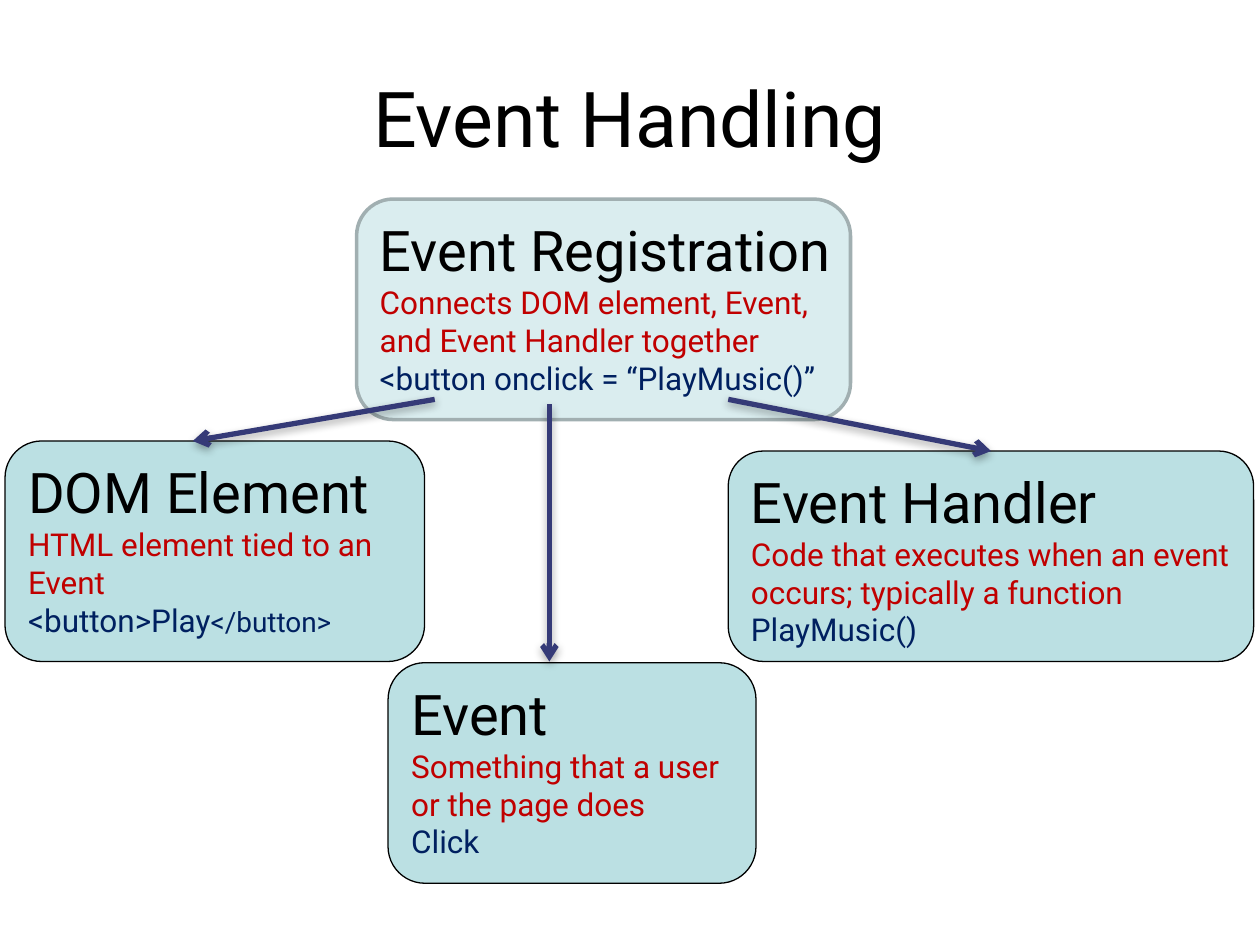
from lxml import etree
from pptx import Presentation
from pptx.dml.color import RGBColor
from pptx.enum.shapes import MSO_CONNECTOR, MSO_SHAPE
from pptx.enum.text import MSO_ANCHOR, PP_ALIGN
from pptx.oxml.ns import qn
from pptx.util import Inches, Pt

STRAIGHT = MSO_CONNECTOR.STRAIGHT
ROUNDED_RECTANGLE = MSO_SHAPE.ROUNDED_RECTANGLE
MIDDLE = MSO_ANCHOR.MIDDLE
TOP = MSO_ANCHOR.TOP
LEFT = PP_ALIGN.LEFT
CENTER = PP_ALIGN.CENTER

FONT = "Roboto"
BLACK = RGBColor(0x00, 0x00, 0x00)
RED = RGBColor(0xC0, 0x00, 0x00)
NAVY = RGBColor(0x00, 0x20, 0x60)
TEAL = RGBColor(0xBB, 0xE0, 0xE3)
PALE_TEAL = RGBColor(0xDA, 0xED, 0xEF)
GRAY = RGBColor(0xA1, 0xAF, 0xB1)
INDIGO = RGBColor(0x35, 0x3A, 0x77)

TOP_SIDE = 0


def format_run(run, size, color):
    run.font.name = FONT
    run.font.size = Pt(size)
    run.font.color.rgb = color


def add_title(slide, box, text):
    shape = slide.shapes.add_textbox(*map(Inches, box))
    text_frame = shape.text_frame
    text_frame.word_wrap = True
    text_frame.vertical_anchor = MIDDLE
    text_frame.text = text
    paragraph = text_frame.paragraphs[0]
    paragraph.alignment = CENTER
    format_run(paragraph.runs[0], 44, BLACK)


def add_concept(slide, box, heading, description, example,
                fill=TEAL, line=BLACK, line_width=0.75):
    shape = slide.shapes.add_shape(ROUNDED_RECTANGLE, *map(Inches, box))
    shape.shadow.inherit = False
    shape.fill.solid()
    shape.fill.fore_color.rgb = fill
    shape.line.color.rgb = line
    shape.line.width = Pt(line_width)

    text_frame = shape.text_frame
    text_frame.word_wrap = False
    text_frame.vertical_anchor = TOP
    text_frame.text = "\n".join([heading, *description, example])
    sizes = [32] + [18] * (len(description) + 1)
    colors = [BLACK] + [RED] * len(description) + [NAVY]
    for paragraph, size, color in zip(text_frame.paragraphs, sizes, colors):
        paragraph.alignment = LEFT
        format_run(paragraph.runs[0], size, color)
    return shape


def add_shadow(connector):
    effects = etree.SubElement(connector._element.spPr, qn("a:effectLst"))
    shadow = etree.SubElement(
        effects, qn("a:outerShdw"), blurRad=str(Pt(5)), dist=str(Pt(1.8)),
        dir="5400000", rotWithShape="0")
    color = etree.SubElement(shadow, qn("a:srgbClr"), val="000000")
    etree.SubElement(color, qn("a:alpha"), val="35000")


def add_arrow(slide, start, end):
    connector = slide.shapes.add_connector(
        STRAIGHT, *map(Inches, (*start, *end)))
    connector.line.color.rgb = INDIGO
    connector.line.width = Pt(3)
    etree.SubElement(connector.line._get_or_add_ln(), qn("a:tailEnd"), type="arrow")
    add_shadow(connector)
    return connector


def add_event_diagram(slide):
    add_concept(
        slide, (3.08, 5.26, 2.92, 1.75), "Event",
        ["Something that a user", "or the page does"], "Click")
    handler = add_concept(
        slide, (5.78, 3.58, 4.17, 1.67), "Event Handler",
        ["Code that executes when an event", "occurs; typically a function"],
        "PlayMusic()")
    add_concept(
        slide, (2.83, 1.58, 3.92, 1.75), "Event Registration",
        ["Connects DOM element, Event,", "and Event Handler together"],
        "<button onclick = “PlayMusic()”", PALE_TEAL, GRAY, 2)
    element = add_concept(
        slide, (0.04, 3.5, 3.33, 1.75), "DOM Element",
        ["HTML element tied to an", "Event"], "<button>Play")
    closing_tag = element.text_frame.paragraphs[-1].add_run()
    closing_tag.text = "</button>"
    format_run(closing_tag, 16, NAVY)

    add_arrow(slide, (3.45, 3.17), (1.53, 3.5))
    handler_arrow = add_arrow(slide, (5.78, 3.17), (7.86, 3.58))
    handler_arrow.end_connect(handler, TOP_SIDE)
    add_arrow(slide, (4.36, 3.21), (4.36, 5.25))


def main():
    presentation = Presentation()
    presentation.slide_width = Inches(10)
    presentation.slide_height = Inches(7.5)
    slide = presentation.slides.add_slide(presentation.slide_layouts[6])
    add_title(slide, (0.5, 0.3, 9, 1.25), "Event Handling")
    add_event_diagram(slide)
    presentation.save("out.pptx")


if __name__ == "__main__":
    main()
